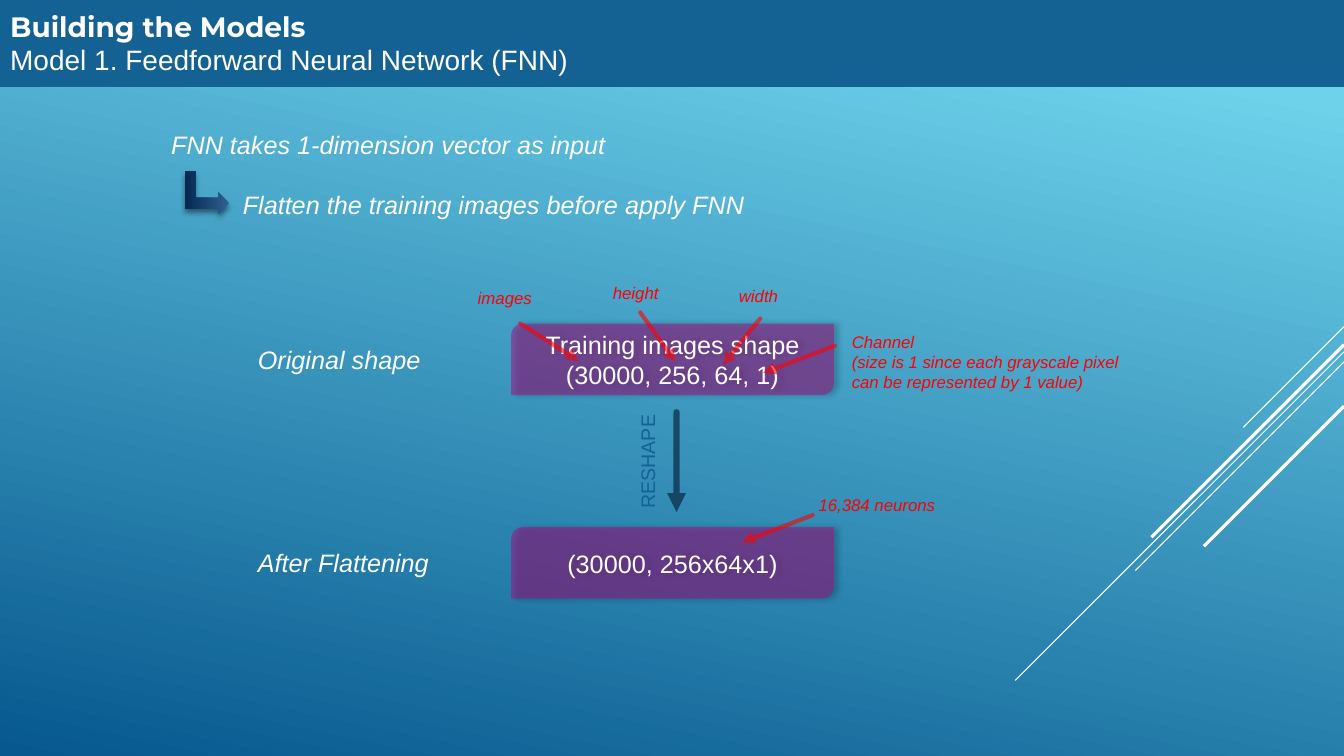
from pptx import Presentation
from pptx.dml.color import RGBColor
from pptx.enum.shapes import MSO_CONNECTOR, MSO_SHAPE
from pptx.enum.text import MSO_ANCHOR, MSO_AUTO_SIZE, PP_ALIGN
from pptx.oxml import parse_xml
from pptx.oxml.ns import nsdecls
from pptx.util import Inches, Pt

RECT, BOX, BENT = MSO_SHAPE.RECTANGLE, MSO_SHAPE.ROUND_2_DIAG_RECTANGLE, MSO_SHAPE.BENT_UP_ARROW
STRAIGHT = MSO_CONNECTOR.STRAIGHT
LEFT, CENTER = PP_ALIGN.LEFT, PP_ALIGN.CENTER
MIDDLE, TOP = MSO_ANCHOR.MIDDLE, MSO_ANCHOR.TOP

THEME = {
    "bar": "146194", "white": "FFFFFF", "note": "FF0000", "box": "A50E82", "flow": "031730",
    "background": (("6ED2EB", 0.1), ("06588E", 1)), "bent": (("316190", 0), ("042853", 1)),
    "title": {"size": Pt(20), "name": "Montserrat", "bold": True},
    "subtitle": {"size": Pt(20), "name": "Arial", "bold": False},
    "statement": {"size": Pt(18), "name": "Arial", "italic": True},
    "value": {"size": Pt(18), "name": "Arial"},
    "label": {"size": Pt(12), "name": "Arial", "italic": True},
    "step": {"size": Pt(14), "name": "Arial"},
}

# Content: inches on the slide
W, H, BAR_H = 13.33, 7.5, 0.85
TITLE = ("Building the Models", "Model 1. Feedforward Neural Network (FNN)")
BOX_X, BOX_W, BOX_H = 5.07, 3.2, 0.71
STAGE_X, STAGE_H = 2.46, 0.4
STAGES = [  # name, name width, wraps, box top, box lines
    ("Original shape", 2, True, 3.21, ["Training images shape", "(30000, 256, 64, 1)"]),
    ("After Flattening", 1.91, False, 5.23, ["(30000, 256x64x1)"]),
]
STATEMENTS = [
    ("FNN takes 1-dimension vector as input", (1.6, 1.23, 4.55, 0.4)),
    ("Flatten the training images before apply FNN", (2.31, 1.83, 5.22, 0.4)),
]
NOTES = [  # lines, place, wraps, arrow from, arrow to
    (["images"], (4.64, 2.81, 0.74, 0.3), False, (5.16, 3.21), (5.74, 3.58)),
    (["height"], (5.98, 2.76, 0.66, 0.3), False, (6.35, 3.1), (6.7, 3.59)),
    (["width"], (7.23, 2.79, 0.59, 0.3), False, (7.54, 3.16), (7.17, 3.62)),
    (["Channel", "(size is 1 since each grayscale pixel", "can be represented by 1 value)"],
     (8.35, 3.24, 3.2, 0.71), True, (8.28, 3.43), (7.57, 3.7)),
    (["16,384 neurons"], (8.02, 4.86, 1.37, 0.3), False, (8.06, 5.11), (7.36, 5.38)),
]
STREAKS = [  # top at the right edge, run down and left at 45 degrees, weight
    (3.24, 1, 0.75), (3.49, 3.26, 0.75), (3.59, 2.07, 0.75), (3.42, 1.91, 2.25), (4.03, 1.39, 2.25),
]


def rgb(name):
    return RGBColor.from_string(THEME[name])


def fill_gradient(fill, name, clockwise):
    fill.gradient()
    fill.gradient_angle = 360 - clockwise
    for stop, (color, position) in zip(fill.gradient_stops, THEME[name]):
        stop.color.rgb = RGBColor.from_string(color)
        stop.position = position


def set_alpha(parent, percent):
    for color in parent.xpath(".//a:srgbClr"):
        color.append(parse_xml(f'<a:alpha {nsdecls("a")} val="{percent * 1000}"/>'))


def add_shadow(shape, percent, degrees):
    shape.shadow.inherit = False
    effects = shape._element.spPr.xpath("a:effectLst")[0]
    effects.append(parse_xml(
        f'<a:outerShdw {nsdecls("a")} blurRad="{Pt(4)}" dist="{Pt(3)}" dir="{degrees * 60000}" '
        f'rotWithShape="0"><a:srgbClr val="000000"><a:alpha val="{percent * 1000}"/>'
        '</a:srgbClr></a:outerShdw>'))


def write(shape, lines, styles, color, align=LEFT, anchor=TOP, wrap=True):
    tf = shape.text_frame
    for key, value in {"word_wrap": wrap, "auto_size": MSO_AUTO_SIZE.NONE,
                       "vertical_anchor": anchor}.items():
        setattr(tf, key, value)
    for margin, value in {"left": 0.1, "right": 0.1, "top": 0.05, "bottom": 0.05}.items():
        setattr(tf, f"margin_{margin}", Inches(value))
    for i, line in enumerate(lines):
        p = tf.paragraphs[0] if i == 0 else tf.add_paragraph()
        p.alignment = align
        r = p.add_run()
        r.text = line
        r.font.color.rgb = rgb(color)
        for key, value in THEME[styles[min(i, len(styles) - 1)]].items():
            setattr(r.font, key, value)


def add_text(s, place, lines, style, color, wrap=False):
    tb = s.shapes.add_textbox(*map(Inches, place))
    write(tb, lines, [style], color, wrap=wrap)
    return tb


def add_line(s, start, end, color, weight):
    line = s.shapes.add_connector(STRAIGHT, *map(Inches, start + end))
    line.line.color.rgb = rgb(color)
    line.line.width = Pt(weight)
    line._element.spPr.append(parse_xml(f'<a:effectLst {nsdecls("a")}/>'))
    return line


def add_arrow(s, start, end, color, weight):
    ln = add_line(s, start, end, color, weight).line._get_or_add_ln()
    ln.set("cap", "rnd")
    set_alpha(ln, 60)
    ln.append(parse_xml(f'<a:tailEnd {nsdecls("a")} type="triangle"/>'))


def main():
    prs = Presentation()
    prs.slide_width, prs.slide_height = Inches(W), Inches(H)
    s = prs.slides.add_slide(prs.slide_layouts[5])
    fill_gradient(s.background.fill, "background", 102)

    # Diagonal streaks
    for top, run, weight in STREAKS:
        add_line(s, (W, top), (W - run, top + run), "white", weight)

    # Title bar
    title = s.shapes.title
    title.left, title.top, title.width, title.height = map(Inches, (0, 0, W, BAR_H))
    title.fill.solid()
    title.fill.fore_color.rgb = title.line.color.rgb = rgb("bar")
    title.line.width = Pt(1.25)
    write(title, TITLE, ["title", "subtitle"], "white", anchor=MIDDLE)

    # Statements and the bent arrow between them
    for text, place in STATEMENTS:
        add_text(s, place, [text], "statement", "white")
    bent = s.shapes.add_shape(BENT, *map(Inches, (1.84, 1.69, 0.43, 0.44)))
    bent.rotation = 90
    fill_gradient(bent.fill, "bent", 90)
    bent.line.fill.background()
    add_shadow(bent, 46, 90)

    # Stages: name and shape box
    for name, name_w, wrap, top, lines in STAGES:
        box = s.shapes.add_shape(BOX, *map(Inches, (BOX_X, top, BOX_W, BOX_H)))
        box.fill.solid()
        box.fill.fore_color.rgb = rgb("box")
        set_alpha(box._element.spPr, 50)
        box.line.fill.background()
        add_shadow(box, 40, 0)
        write(box, lines, ["value"], "white", CENTER, MIDDLE)
        name_top = top + (BOX_H - STAGE_H) / 2
        add_text(s, (STAGE_X, name_top, name_w, STAGE_H), [name], "statement", "white", wrap)

    # Reshape step
    add_arrow(s, (6.71, 4.09), (6.71, 5.08), "flow", 4.5)
    add_text(s, (5.82, 4.37, 1.21, 0.34), ["RESHAPE"], "step", "bar", True).rotation = 270

    # Red notes with arrows
    for lines, place, wrap, start, end in NOTES:
        add_arrow(s, start, end, "note", 3)
        add_text(s, place, lines, "label", "note", wrap)

    prs.save("out.pptx")


if __name__ == "__main__":
    main()
